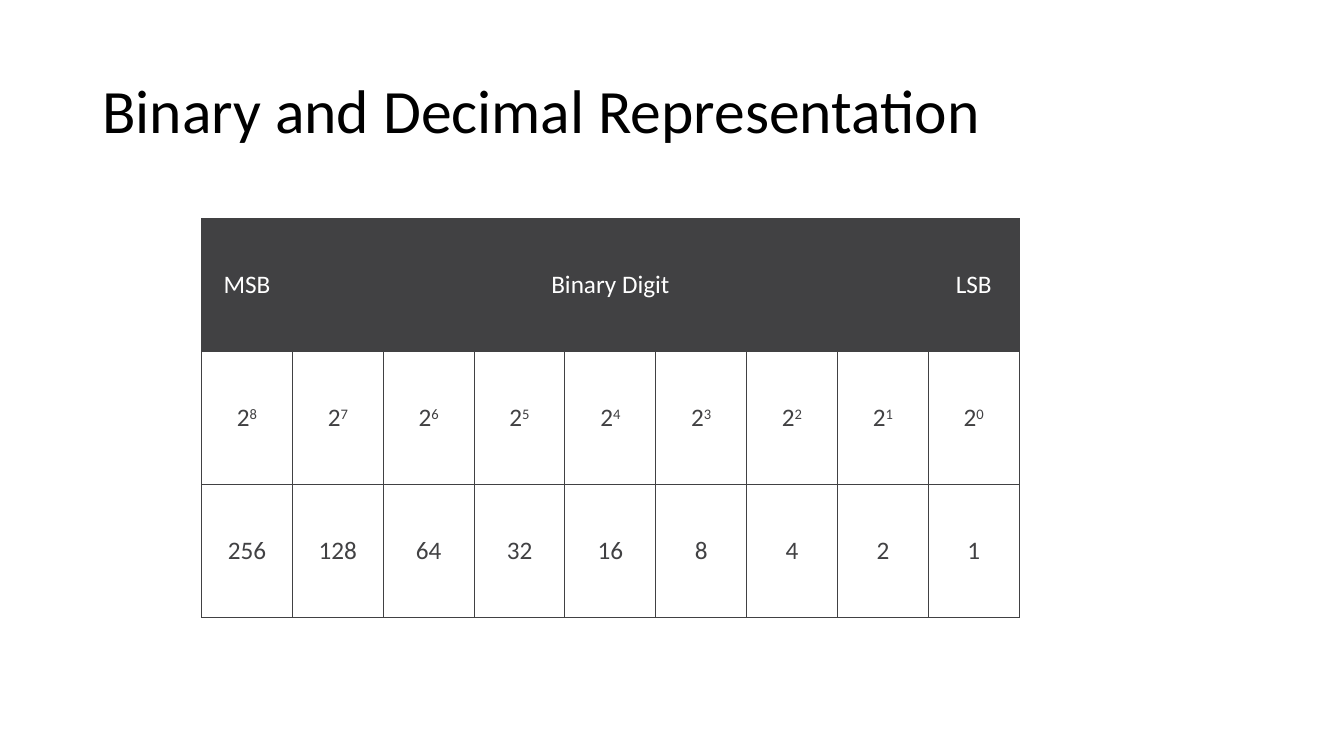
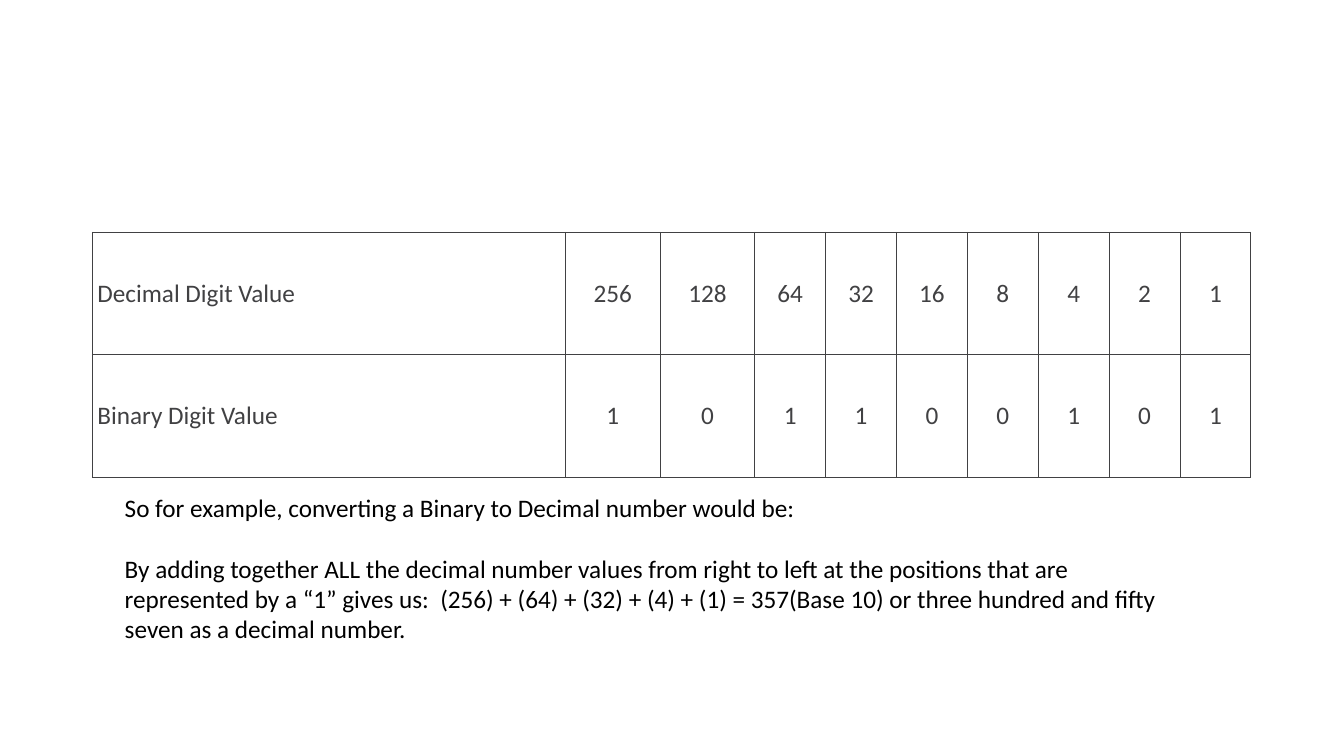
from dataclasses import dataclass

from lxml.etree import SubElement
from pptx import Presentation
from pptx.dml.color import RGBColor
from pptx.enum.text import MSO_ANCHOR, PP_ALIGN
from pptx.oxml.ns import qn
from pptx.util import Pt


@dataclass(frozen=True)
class Theme:
    font: str = "Calibri"
    title_size: int = 44
    body_size: int = 18
    black: str = "000000"
    white: str = "FFFFFF"
    grey: str = "414143"
    border_width: float = 0.75


THEME = Theme()
POWERS = range(8, -1, -1)
DECIMALS = [str(2 ** power) for power in POWERS]


def set_attributes(target, values):
    for name, value in values.items():
        setattr(target, name, value)


def add_span(para, text, size=THEME.body_size, color=THEME.black):
    span = para.add_run()
    span.text = text
    set_attributes(span.font, {"name": THEME.font, "size": Pt(size)})
    span.font.color.rgb = RGBColor.from_string(color)
    return span


def add_text(page, bounds, texts, size=THEME.body_size,
             anchor=MSO_ANCHOR.TOP, **para_format):
    box = page.shapes.add_textbox(*map(Pt, bounds))
    frame = box.text_frame
    set_attributes(frame, {"word_wrap": True, "vertical_anchor": anchor})
    for index, text in enumerate(texts):
        para = frame.add_paragraph() if index else frame.paragraphs[0]
        set_attributes(para, para_format)
        add_span(para, text, size)


def add_title(page, text):
    add_text(page, (66, 28.75, 828, 104.4), [text], THEME.title_size,
             MSO_ANCHOR.MIDDLE, line_spacing=0.9)


def add_borders(cell):
    properties = cell._tc.get_or_add_tcPr()
    for side in ("lnL", "lnR", "lnT", "lnB"):
        line = SubElement(properties, qn(f"a:{side}"), w=str(Pt(THEME.border_width)))
        fill = SubElement(line, qn("a:solidFill"))
        SubElement(fill, qn("a:srgbClr"), val=THEME.grey)


def style_cell(cell, fill):
    set_attributes(cell, {
        "vertical_anchor": MSO_ANCHOR.MIDDLE,
        "margin_left": Pt(3.6), "margin_right": Pt(3.6),
        "margin_top": Pt(7.2), "margin_bottom": Pt(7.2),
    })
    add_borders(cell)
    cell.fill.solid()
    cell.fill.fore_color.rgb = RGBColor.from_string(fill)


def fill_cell(cell, content, color, align):
    """Write a text, or a (base, exponent) pair with a raised exponent."""
    para = cell.text_frame.paragraphs[0]
    para.alignment = align
    base, exponent = content if isinstance(content, tuple) else (content, "")
    add_span(para, base, color=color)
    if exponent:
        raised = add_span(para, exponent, color=color)
        raised.font._element.set("baseline", "30000")


def add_grid(page, left, top, widths, row_height, rows,
             header=False, label_column=False):
    """Add a bordered table; None marks a cell without text."""
    size = (sum(widths), row_height * len(rows))
    table = page.shapes.add_table(
        len(rows), len(widths), *map(Pt, (left, top, *size))).table
    set_attributes(table, {"first_row": False, "horz_banding": False})
    for column, width in zip(table.columns, widths):
        column.width = Pt(width)
    for row_index, contents in enumerate(rows):
        table.rows[row_index].height = Pt(row_height)
        is_header = header and row_index == 0
        fill, color = (THEME.grey, THEME.white) if is_header else (THEME.white, THEME.grey)
        for column_index, content in enumerate(contents):
            cell = table.cell(row_index, column_index)
            style_cell(cell, fill)
            is_label = label_column and column_index == 0
            if content is not None:
                fill_cell(cell, content, color,
                          PP_ALIGN.LEFT if is_label else PP_ALIGN.CENTER)
    return table


def build_representation(page):
    add_title(page, "Binary and Decimal Representation")
    rows = [
        ["MSB", "Binary Digit", *[None] * 6, "LSB"],
        [("2", str(power)) for power in POWERS],
        DECIMALS,
    ]
    table = add_grid(page, 144, 156.2, [64.9] * 9, 95, rows, header=True)
    table.cell(0, 1).merge(table.cell(0, 7))


def build_conversion(page):
    rows = [
        ["Decimal Digit Value", *DECIMALS],
        ["Binary Digit Value", *"101100101"],
    ]
    widths = [338, *[67.6] * 2, *[50.65] * 7]
    add_grid(page, 66, 166, widths, 87.4, rows, label_column=True)
    add_text(page, (82, 348, 754.5, 116.6), [
        "So for example, converting a Binary to Decimal number would be:",
        "By adding together ALL the decimal number values from right to left "
        "at the positions that are represented by a “1” gives us:  "
        "(256) + (64) + (32) + (4) + (1) = 357(Base 10) "
        "or three hundred and fifty seven as a decimal number.",
    ], space_after=Pt(22))


def main():
    deck = Presentation()
    set_attributes(deck, {"slide_width": Pt(960), "slide_height": Pt(540)})
    for build in (build_representation, build_conversion):
        build(deck.slides.add_slide(deck.slide_layouts[6]))
    deck.save("out.pptx")


if __name__ == "__main__":
    main()
